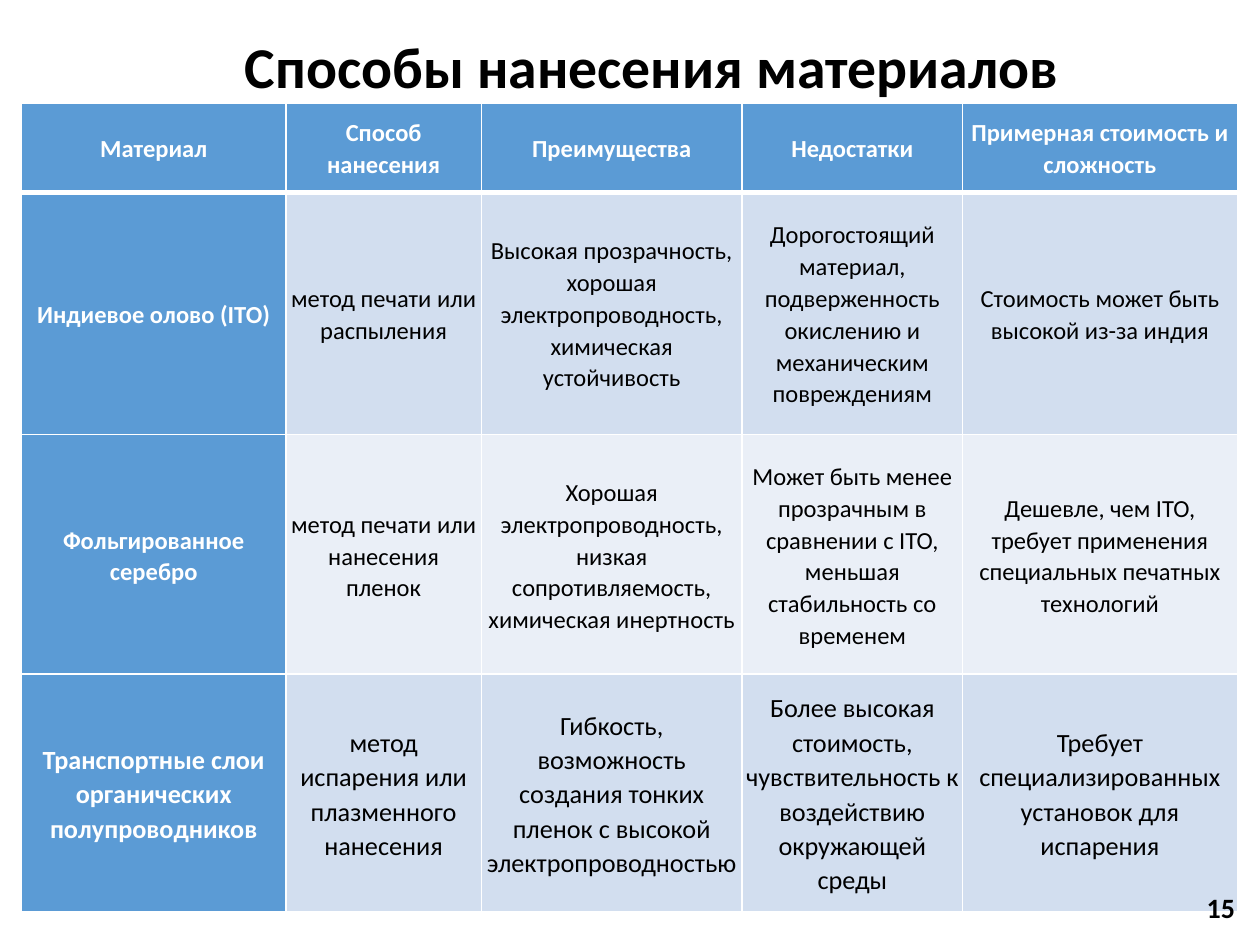
"""Build the slide that compares ways of applying materials."""
import pptx
import pptx.dml.color
import pptx.enum.text
import pptx.oxml
import pptx.oxml.ns
import pptx.util
from lxml import etree

Inches, Pt = pptx.util.Inches, pptx.util.Pt
RGB = pptx.dml.color.RGBColor
ALIGN = pptx.enum.text.PP_ALIGN
MIDDLE = pptx.enum.text.MSO_ANCHOR.MIDDLE
FIXED = pptx.enum.text.MSO_AUTO_SIZE.NONE

BLACK = RGB(0, 0, 0)
WHITE = RGB(255, 255, 255)
BLUE = RGB(0x5B, 0x9B, 0xD5)
LIGHT = RGB(0xD2, 0xDE, 0xEF)
PALE = RGB(0xEA, 0xEF, 0xF7)

TITLE = "Способы нанесения материалов"
NUMBER = "15"
HEAD = ["Материал", "Способ нанесения", "Преимущества", "Недостатки",
        "Примерная стоимость и сложность"]
ITO = ["Индиевое олово (ITO)",
       "метод печати или распыления",
       "Высокая прозрачность, хорошая электропроводность, химическая устойчивость",
       "Дорогостоящий материал, подверженность окислению и механическим повреждениям",
       "Стоимость может быть высокой из-за индия"]
SILVER = ["Фольгированное серебро",
          "метод печати или нанесения пленок",
          "Хорошая электропроводность, низкая сопротивляемость, химическая инертность",
          "Может быть менее прозрачным в сравнении с ITO, меньшая стабильность со временем",
          "Дешевле, чем ITO, требует применения специальных печатных технологий"]
LAYERS = ["Транспортные слои органических полупроводников",
          "метод испарения или плазменного нанесения",
          "Гибкость, возможность создания тонких пленок с высокой электропроводностью",
          "Более высокая стоимость, чувствительность к воздействию окружающей среды",
          "Требует специализированных установок для испарения"]

LEFT = 0.17
WIDTHS = [2.1, 1.55, 2.07, 1.75, 2.18]
TABLES = [
    {"top": 0.82, "size": 14, "rows": [
        (HEAD, 0.71, BLUE, 3), (ITO, 1.92, LIGHT, 1), (SILVER, 1.92, PALE, 1)]},
    {"top": 5.35, "size": 15, "rows": [(LAYERS, 1.9, LIGHT, 3)]},
]

FRAME = {"word_wrap": True, "auto_size": FIXED, "vertical_anchor": MIDDLE}
CELL = {"vertical_anchor": MIDDLE, "margin_left": Inches(0.02),
        "margin_right": Inches(0.02), "margin_top": 0, "margin_bottom": 0}
PARA = {"alignment": ALIGN.CENTER, "line_spacing": 1.07, "space_after": Pt(8)}


def apply(item, form):
    for name, value in form.items():
        setattr(item, name, value)


def write(frame, text, size, color, bold, para):
    line = frame.paragraphs[0]
    run = line.add_run()
    run.text = text
    apply(line, para)
    apply(run.font, {"name": "Calibri", "size": Pt(size), "bold": bold})
    run.font.color.rgb = color


def place(shape, left, top, width, height):
    apply(shape, {"left": Inches(left), "top": Inches(top),
                  "width": Inches(width), "height": Inches(height)})


def edge(cell, bottom):
    props = cell._tc.get_or_add_tcPr()
    for side, width in zip("LRTB", (1, 1, 1, bottom)):
        line = etree.SubElement(props, pptx.oxml.ns.qn("a:ln" + side), w=str(Pt(width)))
        fill = etree.SubElement(line, pptx.oxml.ns.qn("a:solidFill"))
        etree.SubElement(fill, pptx.oxml.ns.qn("a:srgbClr"), val=str(WHITE))


def add_grid(slide, top, size, rows):
    high = sum(row[1] for row in rows)
    grid = slide.shapes.add_table(
        len(rows), len(WIDTHS), Inches(LEFT), Inches(top),
        Inches(sum(WIDTHS)), Inches(high)).table
    for column, width in zip(grid.columns, WIDTHS):
        column.width = Inches(width)
    for r, (texts, height, tint, bottom) in enumerate(rows):
        grid.rows[r].height = Inches(height)
        for c, text in enumerate(texts):
            cell = grid.cell(r, c)
            strong = c == 0 or texts is HEAD
            apply(cell, CELL)
            edge(cell, bottom)
            cell.fill.solid()
            cell.fill.fore_color.rgb = BLUE if strong else tint
            write(cell.text_frame, text, size, WHITE if strong else BLACK, strong, PARA)


def main():
    deck = pptx.Presentation()
    apply(deck, {"slide_width": Inches(10), "slide_height": Inches(7.5)})
    slide = deck.slides.add_slide(deck.slide_layouts[5])
    title = slide.shapes.title
    place(title, 0.63, 0.13, 9.09, 0.85)
    apply(title.text_frame, FRAME)
    write(title.text_frame, TITLE, 33, BLACK, True,
          {"alignment": ALIGN.CENTER, "line_spacing": 0.9})
    for table in TABLES:
        add_grid(slide, **table)
    number = slide.shapes.add_textbox(0, 0, 0, 0)
    place(number, 7.65, 7, 2.25, 0.4)
    apply(number.text_frame, FRAME)
    write(number.text_frame, NUMBER, 16, BLACK, True, {"alignment": ALIGN.RIGHT})
    deck.save("out.pptx")


if __name__ == "__main__":
    main()
